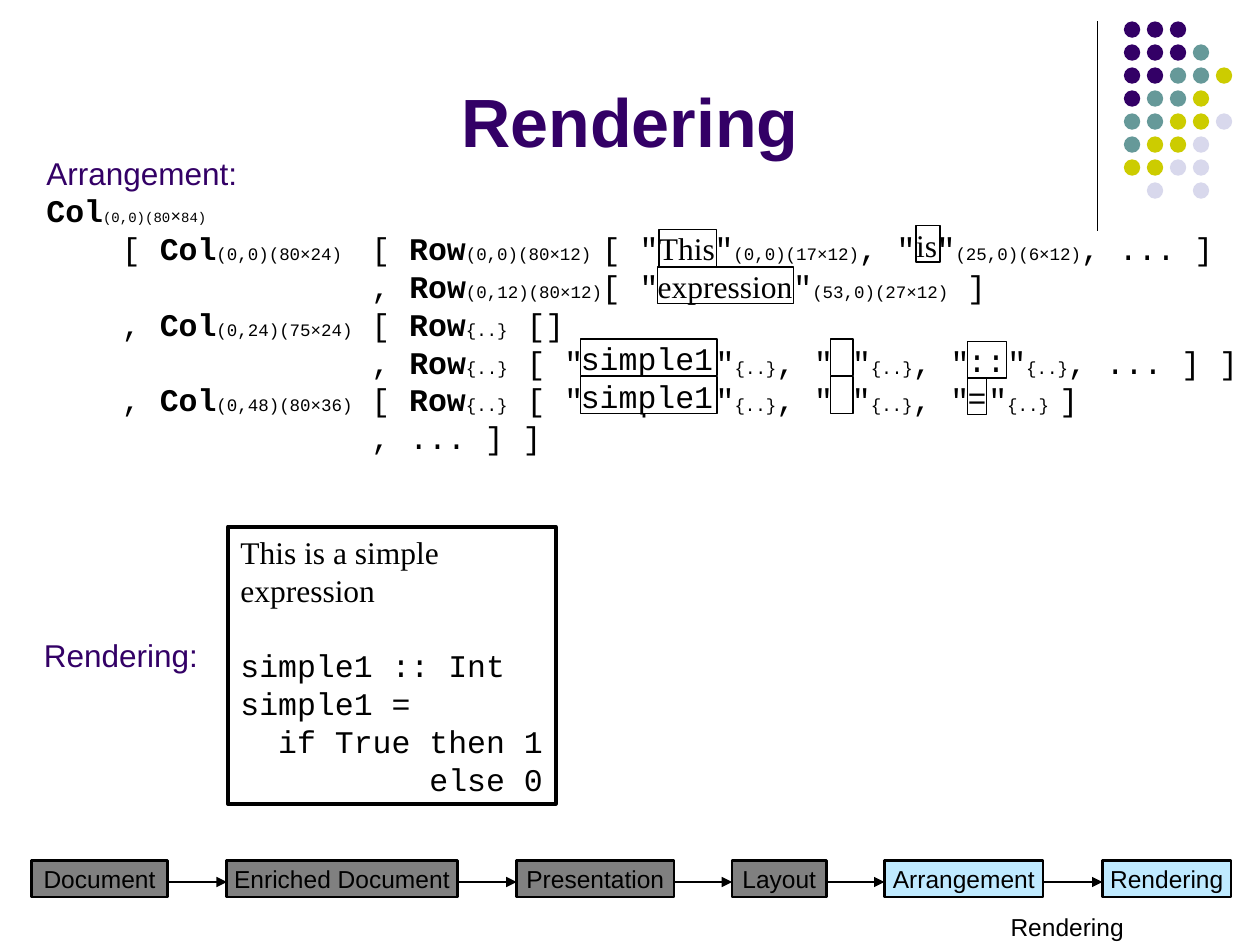
from typing import NamedTuple

import pptx
import pptx.dml.color
import pptx.enum.shapes
import pptx.enum.text
import pptx.oxml
import pptx.oxml.ns
import pptx.util
from lxml import etree

COLUMNS, ROWS = 1000, 750
UNIT = pptx.util.Inches(10) // COLUMNS
CHAR = 15  # columns taken by one 18 pt monospaced character
LINE_PITCH = pptx.util.Pt(21.6)
SANS, SERIF, MONO = "Arial", "Times New Roman", "Courier New"
COLORS = {"ink": "000000", "paper": "FFFFFF", "purple": "330066", "teal": "669999",
          "olive": "CCCC00", "mist": "D8D8EC", "done": "808080", "active": "BFEAFF"}
ALIGN = pptx.enum.text.PP_ALIGN
ANCHOR = pptx.enum.text.MSO_ANCHOR
SHAPE = pptx.enum.shapes.MSO_SHAPE


class Area(NamedTuple):
    """A place on the slide grid."""
    col: float
    row: float
    cols: float
    rows: float


class Span(NamedTuple):
    """A stretch of text in one format."""
    words: str
    size: float = 18
    font: str = MONO
    bold: bool = False
    color: str = "ink"


class Line(NamedTuple):
    """A paragraph with its indent in grid columns."""
    spans: list[Span]
    indent: float = 0
    pitch: int | None = LINE_PITCH
    before: float = 0


class Token(NamedTuple):
    """A boxed word of the arrangement."""
    area: Area
    words: str
    font: str = MONO


class Stage(NamedTuple):
    """A step of the pipeline."""
    words: str
    col: float
    cols: float
    fill: str


def rgb(name: str) -> pptx.dml.color.RGBColor:
    """Look up a colour."""
    return pptx.dml.color.RGBColor.from_string(COLORS[name])


def grid(*cells: float) -> list[int]:
    """Turn grid cells into slide lengths."""
    return [round(cell * UNIT) for cell in cells]


def write(shape, lines: list[Line], insets=(10, 5, 0, 5), align=ALIGN.LEFT,
          anchor=ANCHOR.TOP, wrap: bool = True) -> None:
    """Fill a shape with formatted lines."""
    frame = shape.text_frame
    frame.word_wrap = wrap
    frame.vertical_anchor = anchor
    (frame.margin_left, frame.margin_top,
     frame.margin_right, frame.margin_bottom) = grid(*insets)
    for number, line in enumerate(lines):
        paragraph = frame.add_paragraph() if number else frame.paragraphs[0]
        paragraph.alignment = align
        if line.pitch:
            paragraph.line_spacing = line.pitch
        if line.before:
            paragraph.space_before = pptx.util.Pt(line.before)
        if line.indent:
            paragraph._p.get_or_add_pPr().set("marL", str(grid(line.indent)[0]))
        for span in line.spans:
            run = paragraph.add_run()
            run.text = span.words
            run.font.size = pptx.util.Pt(span.size)
            run.font.name = span.font
            run.font.bold = span.bold
            run.font.color.rgb = rgb(span.color)


def draw_shape(slide, area: Area, fill: str, width: float = 0, kind=SHAPE.RECTANGLE):
    """Draw a filled shape, outlined when a width is given."""
    shape = slide.shapes.add_shape(kind, *grid(*area))
    shape.shadow.inherit = False
    shape.fill.solid()
    shape.fill.fore_color.rgb = rgb(fill)
    if width:
        shape.line.color.rgb = rgb("ink")
        shape.line.width = pptx.util.Pt(width)
    else:
        shape.line.fill.background()
    return shape


def draw_line(slide, ends: tuple, width: float, arrow: bool = False) -> None:
    """Draw a straight line, with an arrowhead on request."""
    line = slide.shapes.add_connector(
        pptx.enum.shapes.MSO_CONNECTOR.STRAIGHT, *grid(*ends))
    line.line.color.rgb = rgb("ink")
    line.line.width = pptx.util.Pt(width)
    if arrow:
        etree.SubElement(line.line._get_or_add_ln(), pptx.oxml.ns.qn("a:tailEnd"),
                         type="triangle")
    etree.SubElement(line._element.spPr, pptx.oxml.ns.qn("a:effectLst"))


def draw_text(slide, area: Area, lines: list[Line], **layout) -> None:
    """Place free text."""
    write(slide.shapes.add_textbox(*grid(*area)), lines, **layout)


def bold(words: str) -> Span:
    """Format a node name."""
    return Span(words, bold=True)


def small(words: str, size: float = 10) -> Span:
    """Format coordinates."""
    return Span(words, size)


def serif(words: str) -> Span:
    """Format prose."""
    return Span(words, font=SERIF)


def heading(words: str) -> Line:
    """Make a purple label."""
    return Line([Span(words, font=SANS, color="purple")])


DOTS = ["PPP", "PPPT", "PPTTO", "PTTO", "TTOOM", "TOOM", "OOMM", " M M"]
DOT_COLORS = {"P": "purple", "T": "teal", "O": "olive", "M": "mist"}
DOT_PITCH = 73 / 4

NODE, ROW = 4 * CHAR, 258
ELIDED = small("{..}")
ARRANGEMENT = [
    heading("Arrangement:"),
    Line([bold("Col"), small("(0,0)(80", 8), small("×"), small("84)", 8)]),
    Line([Span("[ "), bold("Col"), small("(0,0)(80×24) "), Span(" [ "), bold("Row"),
          small("(0,0)(80×12) "), Span('[ "'), serif("This"), Span('"'),
          small("(0,0)(17×12)"), Span(', "'), serif("is"), Span('"'),
          small("(25,0)(6×12)"), Span(", ... ]")], NODE),
    Line([Span(", "), bold("Row"), small("(0,12)(80×12)"), Span('[ "'),
          serif("expression"), Span('"'), small("(53,0)(27×12)"), Span(" ]")], ROW),
    Line([Span(", "), bold("Col"), small("(0,24)(75×24)"), Span(" [ "), bold("Row"),
          ELIDED, Span(" []")], NODE),
    Line([Span(", "), bold("Row"), ELIDED, Span(' [ "simple1"'), ELIDED, Span(', " "'),
          ELIDED, Span(', "::"'), ELIDED, Span(", ... ] ]")], ROW),
    Line([Span(", "), bold("Col"), small("(0,48)(80×36)"), Span(" [ "), bold("Row"),
          ELIDED, Span(' [ "simple1"'), ELIDED, Span(', " "'), ELIDED, Span(', "="'),
          small("{..} "), Span("]")], NODE),
    Line([Span(", ... ] ]")], ROW),
]
TOKENS = [
    Token(Area(523, 182, 46, 30), "This", SERIF),
    Token(Area(727, 179, 19, 29), "is", SERIF),
    Token(Area(522, 212, 108, 29), "expression", SERIF),
    *(Token(Area(461, row, 108, 29), "simple1") for row in (269, 299)),
    *(Token(Area(659, row, 18, 29), "") for row in (269, 299)),
    Token(Area(768, 271, 31, 29), "::"),
    Token(Area(768, 300, 15, 29), "="),
]
RENDERED = [
    Line([serif("This is a simple")]),
    Line([serif("expression")]),
    Line([Span("simple1 :: Int")], before=21.6),
    Line([Span("simple1 =")]),
    Line([Span("if True then 1")], 2 * CHAR),
    Line([Span("else 0")], 10 * CHAR),
]
STAGES = [
    Stage("Document", 25, 108, "done"), Stage("Enriched Document", 180, 183, "done"),
    Stage("Presentation", 410, 125, "done"), Stage("Layout", 581, 75, "done"),
    Stage("Arrangement", 702, 126, "active"), Stage("Rendering", 875, 102, "active"),
]
STAGE_LAYOUT = dict(insets=(5, 2, 5, 2), align=ALIGN.CENTER, anchor=ANCHOR.MIDDLE,
                    wrap=False)

deck = pptx.Presentation()
deck.slide_width, deck.slide_height = grid(COLUMNS, ROWS)
slide = deck.slides.add_slide(deck.slide_layouts[6])

draw_line(slide, (871, 17, 871, 183), 0.74)
for row, pattern in enumerate(DOTS):
    for col, key in enumerate(pattern):
        if key in DOT_COLORS:
            draw_shape(slide, Area(892 + col * DOT_PITCH, 17 + row * DOT_PITCH, 13, 13),
                       DOT_COLORS[key], kind=SHAPE.OVAL)

draw_text(slide, Area(27, 117, 966, 250), ARRANGEMENT)
for token in TOKENS:
    box = draw_shape(slide, token.area, "paper", 0.74)
    if token.words:
        write(box, [Line([Span(token.words, font=token.font)])], insets=(0, 0, 0, 0),
              wrap=False)

draw_text(slide, Area(75, 8, 850, 125),
          [Line([Span("Rendering", 39, SANS, True, "purple")], pitch=None)],
          insets=(10, 5, 10, 5), align=ALIGN.CENTER, anchor=ANCHOR.BOTTOM)
write(draw_shape(slide, Area(181, 418, 260, 220), "paper", 2.24), RENDERED)
draw_text(slide, Area(25, 500, 142, 40), [heading("Rendering:")])

for stage, following in zip(STAGES, STAGES[1:]):
    draw_line(slide, (stage.col + stage.cols, 700, following.col, 700), 1.5, arrow=True)
for stage in STAGES:
    write(draw_shape(slide, Area(stage.col, 683, stage.cols, 29), stage.fill, 1.5),
          [Line([Span(stage.words, 14, SANS)], pitch=None)], **STAGE_LAYOUT)
draw_text(slide, Area(775, 721, 144, 29),
          [Line([Span("Rendering", 14, SANS)], pitch=None)], **STAGE_LAYOUT)

deck.save("out.pptx")
